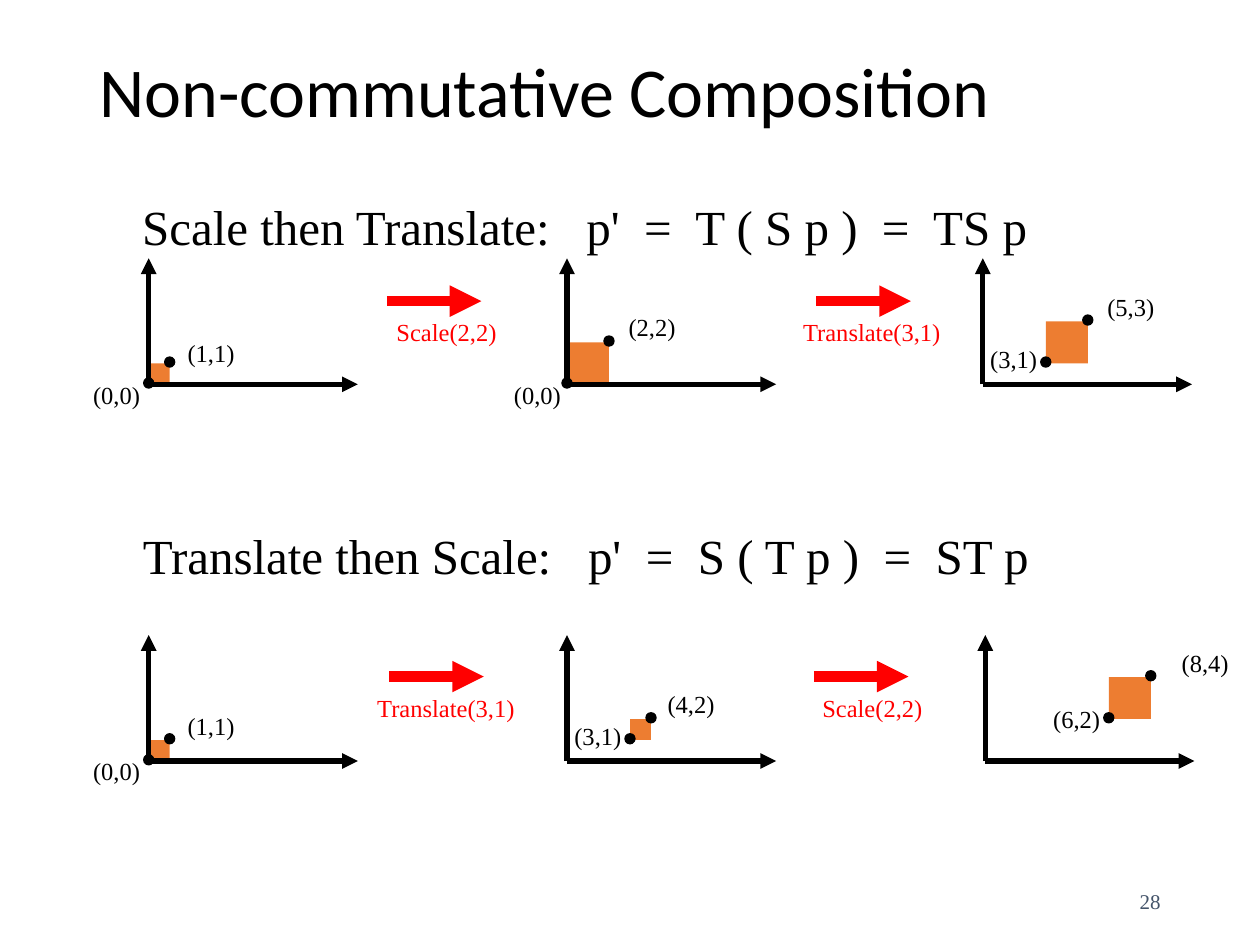
from lxml.etree import SubElement as Sub
from pptx import Presentation
from pptx.dml.color import RGBColor
from pptx.enum.shapes import MSO_CONNECTOR as Link, MSO_SHAPE as Shape
from pptx.enum.text import MSO_ANCHOR as Anchor, PP_ALIGN as Align
from pptx.oxml.ns import qn
from pptx.util import Inches, Pt

BLACK = RGBColor(0x00, 0x00, 0x00)
RED = RGBColor(0xFF, 0x00, 0x00)
ORANGE = RGBColor(0xED, 0x7D, 0x31)
SLATE = RGBColor(0x44, 0x54, 0x6A)
SERIF = "Times New Roman"
UNIT = 1 / 6
DOT = 0.08


class Board:
    def __init__(self, deck):
        self.slide = deck.slides.add_slide(deck.slide_layouts[5])
        self.shapes = self.slide.shapes

    def style(self, para, text, size, color, face=SERIF, align=Align.CENTER):
        para.text = text
        para.alignment = align
        para.font.size = Pt(size)
        para.font.name = face
        para.font.color.rgb = color

    def title(self, text):
        box = self.shapes.title
        box.left, box.top = Inches(0.69), Inches(0.4)
        box.width, box.height = Inches(8.62), Inches(1.45)
        box.text_frame.vertical_anchor = Anchor.TOP
        para = box.text_frame.paragraphs[0]
        self.style(para, text, 40, BLACK, "Calibri", Align.LEFT)
        para.line_spacing = 0.9

    def text(self, text, x, y, w, h=0.34, size=14, color=BLACK,
             wrap=True, align=Align.CENTER, anchor=Anchor.TOP):
        box = self.shapes.add_textbox(Inches(x), Inches(y), Inches(w), Inches(h))
        frame = box.text_frame
        frame.word_wrap = wrap
        frame.vertical_anchor = anchor
        self.style(frame.paragraphs[0], text, size, color, align=align)

    def solid(self, kind, x, y, side, color):
        item = self.shapes.add_shape(
            kind, Inches(x), Inches(y), Inches(side), Inches(side))
        item.shadow.inherit = False
        item.fill.solid()
        item.fill.fore_color.rgb = color
        item.line.fill.background()
        return item

    def dot(self, x, y):
        item = self.solid(Shape.OVAL, x - DOT / 2, y - DOT / 2, DOT, BLACK)
        item.line.color.rgb = BLACK
        item.line.width = Pt(0.75)

    def arrow(self, x, y, dx, dy, color=BLACK, width=3):
        line = self.shapes.add_connector(
            Link.STRAIGHT, Inches(x), Inches(y), Inches(x + dx), Inches(y + dy))
        line.line.color.rgb = color
        line.line.width = Pt(width)
        Sub(line.line._ln, qn("a:tailEnd"), type="triangle")
        Sub(line._element.spPr, qn("a:effectLst"))

    def plot(self, x, y, axis, low, high):
        side = (high[0] - low[0]) * UNIT
        self.solid(Shape.RECTANGLE, x + low[0] * UNIT, y - high[1] * UNIT, side, ORANGE)
        for col, row, *_ in (low, high):
            self.dot(x + col * UNIT, y - 0.01 - row * UNIT)
        for col, row, left, top, wide in (low, high):
            self.text(f"({col},{row})", left, top, wide)
        self.arrow(axis, y, 0, -1)
        self.arrow(axis, y, 1.66, 0)

    def step(self, text, x, y, left, wide):
        self.text(text, left, y + 0.08, wide, color=RED)
        self.arrow(x, y, 0.75, 0, RED, 6)


HEADS = [
    ("Scale then Translate:   p'  =  T ( S p )  =  TS p", 0.99, 1.51),
    ("Translate then Scale:   p'  =  S ( T p )  =  ST p", 1, 4.12),
]
PLOTS = [
    (1.18, 3.05, 1.18, (0, 0, 0.6, 2.97, 0.65), (1, 1, 1.35, 2.63, 0.65)),
    (4.5, 3.05, 4.5, (0, 0, 3.94, 2.97, 0.65), (2, 2, 4.85, 2.43, 0.65)),
    (7.8, 3.05, 7.8, (3, 1, 7.72, 2.68, 0.65), (5, 3, 8.65, 2.27, 0.65)),
    (1.18, 6.04, 1.18, (0, 0, 0.6, 5.95, 0.65), (1, 1, 1.35, 5.59, 0.65)),
    (4.5, 6.04, 4.5, (3, 1, 4.42, 5.67, 0.65), (4, 2, 5.16, 5.42, 0.65)),
    (7.8, 6.04, 7.82, (6, 2, 8.22, 5.54, 0.65), (8, 4, 9.15, 5.09, 0.83)),
]
STEPS = [
    ("Scale(2,2)", 3.07, 2.39, 2.93, 1.23),
    ("Translate(3,1)", 6.48, 2.39, 6.14, 1.56),
    ("Translate(3,1)", 3.09, 5.37, 2.76, 1.56),
    ("Scale(2,2)", 6.46, 5.37, 6.31, 1.23),
]


def main():
    deck = Presentation()
    deck.slide_width, deck.slide_height = Inches(10), Inches(7.5)
    board = Board(deck)
    board.title("Non-commutative Composition")
    for text, x, y in HEADS:
        board.text(text, x, y, 7.3, 0.57, 28, wrap=False)
    for plot in PLOTS:
        board.plot(*plot)
    for step in STEPS:
        board.step(*step)
    board.text("28", 7.06, 6.95, 2.25, 0.4, 12, SLATE,
               align=Align.RIGHT, anchor=Anchor.MIDDLE)
    deck.save("out.pptx")


if __name__ == "__main__":
    main()
